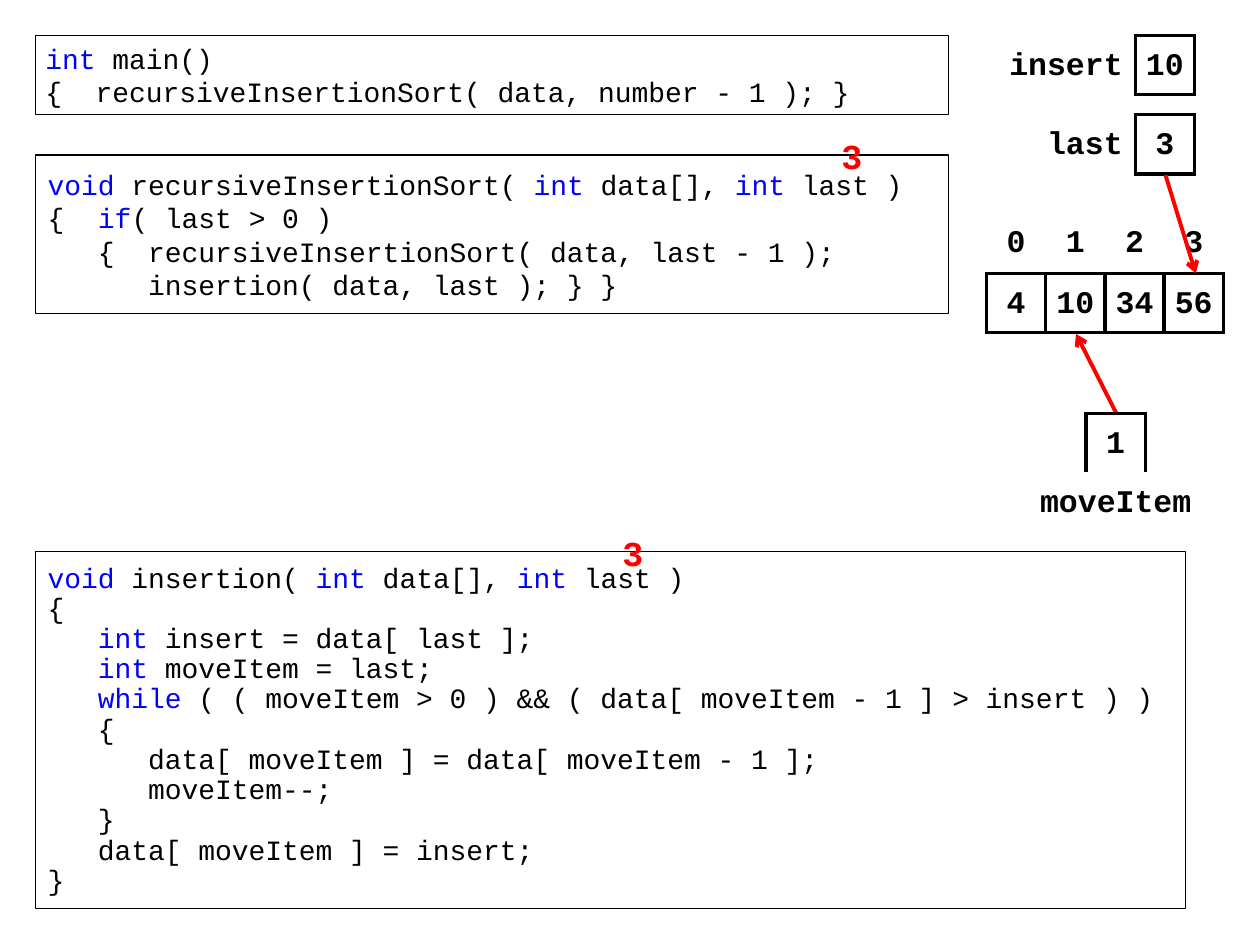
from lxml import etree
from pptx import Presentation
from pptx.dml.color import RGBColor
from pptx.enum.shapes import MSO_CONNECTOR as Line, MSO_SHAPE as Shape
from pptx.enum.text import MSO_ANCHOR as Anchor, PP_ALIGN as Align
from pptx.oxml.ns import qn
from pptx.util import Inches, Pt

BLACK, BLUE, RED, WHITE = "000000", "0000FF", "FF0000", "FFFFFF"
NO_GRID = "{2D5ABB26-0587-4C30-8999-92F81FD0307C}"
CELL = 0.47

# Keywords stand between bars.
MAIN = """|int| main()
{  recursiveInsertionSort( data, number - 1 ); }"""

SORT = """|void| recursiveInsertionSort( |int| data[], |int| last )
{  |if|( last > 0 )
   {  recursiveInsertionSort( data, last - 1 );
      insertion( data, last ); } }"""

INSERTION = """|void| insertion( |int| data[], |int| last )
{
   |int| insert = data[ last ];
   |int| moveItem = last;
   |while| ( ( moveItem > 0 ) && ( data[ moveItem - 1 ] > insert ) )
   {
      data[ moveItem ] = data[ moveItem - 1 ];
      moveItem--;
   }
   data[ moveItem ] = insert;
}"""


def rgb(color):
    return RGBColor.from_string(color)


def assign(obj, **vals):
    for name, val in vals.items():
        setattr(obj, name, val)


def style(font, size, color, bold=False):
    assign(font, name="Courier New", size=Pt(size), bold=bold)
    font.color.rgb = rgb(color)


def inset(obj, left, top, right, bottom):
    assign(obj, margin_left=Inches(left), margin_top=Inches(top),
           margin_right=Inches(right), margin_bottom=Inches(bottom))


def add_code(slide, box, code, pads, space=1.0):
    shape = slide.shapes.add_shape(Shape.RECTANGLE, *map(Inches, box))
    shape.shadow.inherit = False
    shape.fill.background()
    shape.line.color.rgb = rgb(BLACK)
    shape.line.width = Pt(0.75)
    frame = shape.text_frame
    assign(frame, word_wrap=True, vertical_anchor=Anchor.MIDDLE)
    inset(frame, *pads)
    for i, row in enumerate(code.split("\n")):
        para = frame.add_paragraph() if i else frame.paragraphs[0]
        assign(para, alignment=Align.LEFT, line_spacing=space)
        for j, part in enumerate(row.split("|")):
            if part:
                run = para.add_run()
                run.text = part
                style(run.font, 16, BLUE if j % 2 else BLACK)


def add_value(slide, left, top, text):
    box = slide.shapes.add_textbox(*map(Inches, (left, top, 0.31, 0.31)))
    frame = box.text_frame
    frame.word_wrap = False
    inset(frame, 0.1, 0, 0.1, 0)
    para = frame.paragraphs[0]
    assign(para, text=text, alignment=Align.CENTER)
    style(para.font, 20, RED, True)


def add_edges(cell, sides):
    """Draw the named sides (out of LRTB) of a cell."""
    props = cell._tc.get_or_add_tcPr()
    for side in "LRTB":
        if side in sides:
            edge = etree.SubElement(props, qn(f"a:ln{side}"), w=str(Pt(2.25)))
            fill = etree.SubElement(edge, qn("a:solidFill"))
            etree.SubElement(fill, qn("a:srgbClr"), val=BLACK)


def fill_cell(cell, text, sides="", align=Align.CENTER, color=None, foot=0.02):
    add_edges(cell, sides)
    if color:
        cell.fill.solid()
        cell.fill.fore_color.rgb = rgb(color)
    else:
        cell.fill.background()
    cell.vertical_anchor = Anchor.MIDDLE
    inset(cell, 0.08, 0.05, 0.1 if align == Align.RIGHT else 0.08, foot)
    para = cell.text_frame.paragraphs[0]
    assign(para, text=text, alignment=align)
    style(para.font, 18, BLACK, True)


def add_grid(slide, left, top, rows, widths):
    frame = slide.shapes.add_table(
        rows, len(widths), Inches(left), Inches(top),
        Inches(sum(widths)), Inches(rows * CELL))
    grid = frame.table
    assign(grid, first_row=False, horz_banding=False)
    grid._tbl.tblPr[0].text = NO_GRID
    for col, width in zip(grid.columns, widths):
        col.width = Inches(width)
    for row in grid.rows:
        row.height = Inches(CELL)
    return grid


def add_array(slide, left, top, data):
    grid = add_grid(slide, left, top, 2, [CELL] * len(data))
    for i, item in enumerate(data):
        fill_cell(grid.cell(0, i), str(i), "B", foot=0.05)
        fill_cell(grid.cell(1, i), str(item), "LRTB", color=WHITE)


def add_var(slide, left, top, width, name, value):
    grid = add_grid(slide, left, top, 1, [width, CELL])
    fill_cell(grid.cell(0, 0), name, "R", Align.RIGHT)
    fill_cell(grid.cell(0, 1), value, "LRTB")


def add_index(slide, left, top, name, value):
    """Place a value box above its name."""
    grid = add_grid(slide, left, top, 2, [CELL] * 3)
    for i, (text, sides) in enumerate([("", "R"), (value, "LRT"), ("", "L")]):
        fill_cell(grid.cell(0, i), text, sides)
    grid.cell(1, 0).merge(grid.cell(1, 2))
    fill_cell(grid.cell(1, 0), name)


def add_arrow(slide, *ends):
    line = slide.shapes.add_connector(Line.STRAIGHT, *map(Inches, ends))
    line.line.color.rgb = rgb(RED)
    line.line.width = Pt(2.25)
    etree.SubElement(line.line._get_or_add_ln(), qn("a:tailEnd"), type="arrow")
    etree.SubElement(line._element.spPr, qn("a:effectLst"))


def main():
    deck = Presentation()
    assign(deck, slide_width=Inches(10), slide_height=Inches(7.5))
    slide = deck.slides.add_slide(deck.slide_layouts[6])

    add_code(slide, (0.28, 0.28, 7.25, 0.63), MAIN, (0.08, 0, 0.08, 0))
    add_code(slide, (0.28, 1.23, 7.25, 1.26), SORT, (0.1, 0, 0.1, 0))
    add_value(slide, 6.58, 1.07, "3")
    add_code(slide, (0.28, 4.38, 9.13, 2.83), INSERTION,
             (0.1, 0.05, 0.1, 0.05), 0.9)

    add_array(slide, 7.83, 1.7, [4, 10, 34, 56])
    add_arrow(slide, 8.86, 3.28, 8.54, 2.65)
    add_index(slide, 8.15, 3.28, "moveItem", "1")
    add_var(slide, 7.91, 0.28, 1.1, "insert", "10")
    add_var(slide, 8.07, 0.91, 0.94, "last", "3")
    add_arrow(slide, 9.25, 1.39, 9.49, 2.17)
    add_value(slide, 4.84, 4.22, "3")

    deck.save("out.pptx")


if __name__ == "__main__":
    main()
